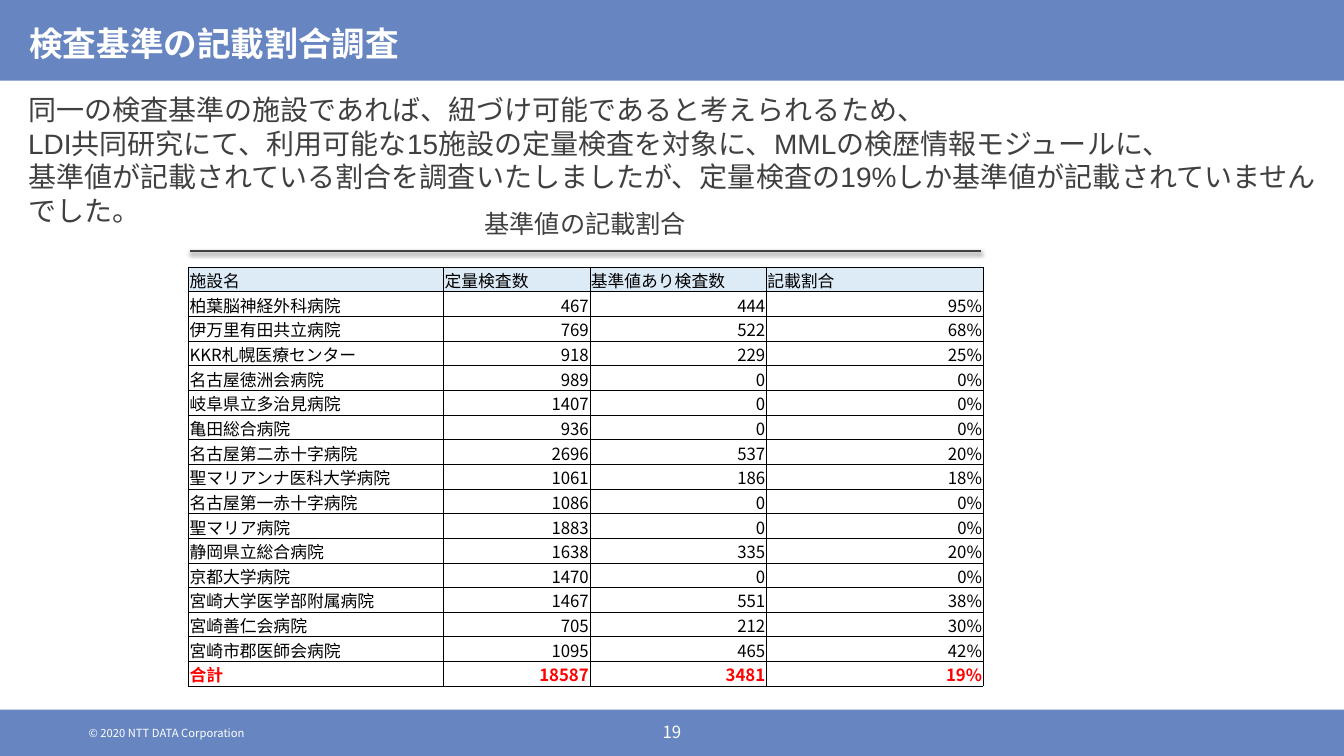
from lxml.etree import SubElement
from pptx import Presentation
from pptx.dml.color import RGBColor
from pptx.enum.shapes import MSO_CONNECTOR as Link, MSO_SHAPE as Shape
from pptx.enum.text import MSO_ANCHOR as Anchor, MSO_AUTO_SIZE as Auto, PP_ALIGN as Align
from pptx.oxml import parse_xml
from pptx.oxml.ns import nsdecls, qn
from pptx.util import Inches, Pt

NOTO = "Noto Sans CJK JP"
BLUE, WHITE, GREY, BLACK, RED, PALE = "6785C1", "FFFFFF", "404040", "000000", "FF0000", "DDEBF7"
BODY = [
    "同一の検査基準の施設であれば、紐づけ可能であると考えられるため、",
    "LDI共同研究にて、利用可能な15施設の定量検査を対象に、MMLの検歴情報モジュールに、",
    "基準値が記載されている割合を調査いたしましたが、定量検査の19%しか基準値が記載されていませんでした。",
]
COLS = [2.53, 1.45, 1.75, 2.15]
ROWS = [
    ("施設名", "定量検査数", "基準値あり検査数", "記載割合"),
    ("柏葉脳神経外科病院", "467", "444", "95%"),
    ("伊万里有田共立病院", "769", "522", "68%"),
    ("KKR札幌医療センター", "918", "229", "25%"),
    ("名古屋徳洲会病院", "989", "0", "0%"),
    ("岐阜県立多治見病院", "1407", "0", "0%"),
    ("亀田総合病院", "936", "0", "0%"),
    ("名古屋第二赤十字病院", "2696", "537", "20%"),
    ("聖マリアンナ医科大学病院", "1061", "186", "18%"),
    ("名古屋第一赤十字病院", "1086", "0", "0%"),
    ("聖マリア病院", "1883", "0", "0%"),
    ("静岡県立総合病院", "1638", "335", "20%"),
    ("京都大学病院", "1470", "0", "0%"),
    ("宮崎大学医学部附属病院", "1467", "551", "38%"),
    ("宮崎善仁会病院", "705", "212", "30%"),
    ("宮崎市郡医師会病院", "1095", "465", "42%"),
    ("合計", "18587", "3481", "19%"),
]


def color(code):
    """Turn a hex string into a colour."""
    return RGBColor.from_string(code)


def apply(item, values):
    """Set each attribute named in the values."""
    for name, value in values.items():
        setattr(item, name, value)


def write(frame, lines, size, tint, face=NOTO, bold=False, align=Align.LEFT):
    """Fill a text frame with one paragraph for each line."""
    for num, line in enumerate(lines):
        para = frame.add_paragraph() if num else frame.paragraphs[0]
        para.alignment = align
        run = para.add_run()
        run.text = line
        apply(run.font, {"size": Pt(size), "bold": bold, "name": face})
        run.font.color.rgb = color(tint)
        SubElement(run._r.get_or_add_rPr(), qn("a:ea"), typeface=NOTO)


def add_text(slide, box, lines, size, tint, pad=0.05, **style):
    """Place a wrapped text box that grows with its text."""
    frame = slide.shapes.add_textbox(*map(Inches, box)).text_frame
    apply(frame, {"word_wrap": True, "auto_size": Auto.SHAPE_TO_FIT_TEXT,
                  "margin_top": Inches(pad), "margin_bottom": Inches(pad)})
    write(frame, lines, size, tint, **style)


def add_band(slide, box):
    """Place a plain blue band."""
    band = slide.shapes.add_shape(Shape.RECTANGLE, *map(Inches, box))
    band.shadow.inherit = False
    band.fill.solid()
    band.fill.fore_color.rgb = color(BLUE)
    band.line.fill.background()


def add_head(slide, box):
    """Place the top band and the title on it."""
    left, top, width, height = box
    add_band(slide, box)
    title = slide.shapes.title
    apply(title, {"left": Inches(left + 0.19), "top": Inches(top),
                  "width": Inches(width - 0.38), "height": Inches(height - 0.01)})
    apply(title.text_frame, {
        "vertical_anchor": Anchor.MIDDLE, "word_wrap": True, "auto_size": Auto.NONE,
        "margin_left": Inches(0.1), "margin_right": Inches(0.1),
        "margin_top": Inches(0.12), "margin_bottom": Inches(0.05)})
    write(title.text_frame, ["検査基準の記載割合調査"], 24, WHITE, bold=True)
    slide.shapes._spTree.append(title._element)


def add_foot(slide, box):
    """Place the bottom band with the copyright line and page number."""
    left, top, width, height = box
    add_band(slide, box)
    add_text(slide, (left + 0.78, top + 0.17, 3.44, 0.13),
             ["© 2020 NTT DATA Corporation"], 8, WHITE, pad=0)
    add_text(slide, (left + (width - 0.73) / 2, top + 0.12, 0.73, 0.2),
             ["19"], 12, WHITE, pad=0, align=Align.CENTER)


def add_label(slide, box):
    """Place the table heading with a shadowed rule below it."""
    left, top, width, height = box
    add_text(slide, (left, top, width, 0.41), ["基準値の記載割合"], 18, GREY,
             face="Arial", align=Align.CENTER)
    ends = (left, top + height, left + width, top + height)
    rule = slide.shapes.add_connector(Link.STRAIGHT, *map(Inches, ends))
    rule.line.width = Pt(1.5)
    rule.line.color.rgb = color(GREY)
    rule._element.spPr.append(parse_xml(
        f'<a:effectLst {nsdecls("a")}><a:outerShdw blurRad="40000" dist="20000" '
        f'dir="5400000" rotWithShape="0"><a:srgbClr val="{BLACK}">'
        '<a:alpha val="38000"/></a:srgbClr></a:outerShdw></a:effectLst>'))


def add_edges(cell):
    """Draw thin black borders around a cell."""
    for side in ("lnL", "lnR", "lnT", "lnB"):
        cell._tc.get_or_add_tcPr().append(parse_xml(
            f'<a:{side} {nsdecls("a")} w="6350"><a:solidFill>'
            f'<a:srgbClr val="{BLACK}"/></a:solidFill></a:{side}>'))


def add_grid(slide, box):
    """Place the table of rates by hospital."""
    shape = slide.shapes.add_table(len(ROWS), len(COLS), *map(Inches, box))
    table = shape.table
    apply(table, {"first_row": False, "horz_banding": False})
    for col, width in zip(table.columns, COLS):
        col.width = Inches(width)
    for row in table.rows:
        row.height = Inches(box[3] / len(ROWS))
    inset = Inches(0.01)
    form = {"margin_left": inset, "margin_right": inset, "margin_top": inset,
            "margin_bottom": 0, "vertical_anchor": Anchor.MIDDLE}
    for y, row in enumerate(ROWS):
        total = y == len(ROWS) - 1
        for x, text in enumerate(row):
            cell = table.cell(y, x)
            apply(cell, form)
            add_edges(cell)
            if y:
                cell.fill.background()
            else:
                cell.fill.solid()
                cell.fill.fore_color.rgb = color(PALE)
            write(cell.text_frame, [text], 12, RED if total else BLACK, bold=total,
                  align=Align.RIGHT if x and y else Align.LEFT)


def main():
    """Build the slide and save it."""
    deck = Presentation()
    apply(deck, {"slide_width": Inches(13.33), "slide_height": Inches(7.5)})
    slide = deck.slides.add_slide(deck.slide_layouts[5])
    add_head(slide, (0, 0, 13.33, 0.8))
    add_foot(slide, (0, 7.04, 13.33, 0.46))
    add_text(slide, (0.18, 0.87, 12.96, 1.11), BODY, 20, GREY, face="Arial")
    add_grid(slide, (1.87, 2.65, sum(COLS), 4.16))
    add_label(slide, (1.88, 2.02, 7.85, 0.47))
    deck.save("out.pptx")


if __name__ == "__main__":
    main()
